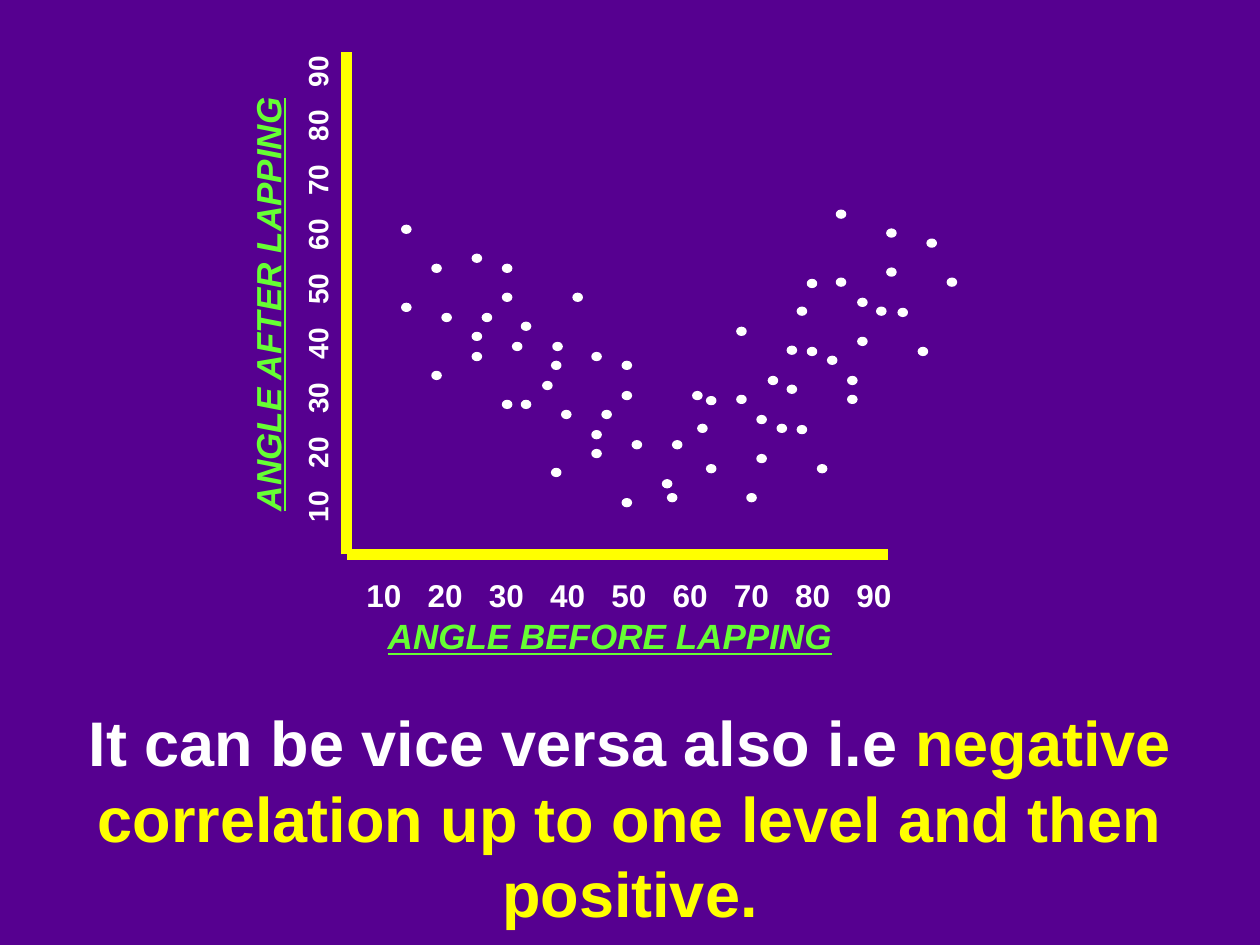
from collections import namedtuple

from pptx import Presentation
from pptx.dml.color import RGBColor
from pptx.enum.shapes import MSO_CONNECTOR, MSO_SHAPE
from pptx.enum.text import MSO_ANCHOR, PP_ALIGN
from pptx.oxml import parse_xml
from pptx.oxml.ns import nsdecls
from pptx.util import Inches, Pt

LINE = MSO_CONNECTOR.STRAIGHT
DOT = MSO_SHAPE.OVAL
TOP = MSO_ANCHOR.TOP
LEFT, CENTER = PP_ALIGN.LEFT, PP_ALIGN.CENTER
TITLE_ONLY = 5

Box = namedtuple("Box", "left top width height")


class Theme:
    background = RGBColor(0x56, 0x00, 0x90)
    white = RGBColor(0xFF, 0xFF, 0xFF)
    yellow = RGBColor(0xFF, 0xFF, 0x00)
    axis = Pt(6)
    dot_line = Pt(1)
    caption = {"name": "Arial", "size": Pt(36), "bold": True}
    label = {"name": "Arial", "size": Pt(20), "bold": True, "italic": True,
             "underline": True}
    label_color = RGBColor(0x66, 0xFF, 0x33)
    tick_x = {"name": "Arial", "size": Pt(18), "bold": True}
    tick_y = {"name": "Arial", "size": Pt(16), "bold": True}


TICKS = range(10, 100, 10)
DOT_SIZE = (0.07, 0.06)

# Each branch repeats one cluster of eight dots at four origins in the plot
FALLING = {
    "origins": [(0.44, 1.38), (1.0, 1.61), (1.39, 2.15), (1.95, 2.39)],
    "cluster": [(0, 0), (0.8, 0.31), (0, 0.62), (0.24, 0.31),
                (0.24, 1.16), (0.64, 0.7), (0.56, 1.01), (0.32, 0.7)],
}
RISING = {
    "origins": [(2.86, 2.74), (3.1, 2.19), (3.66, 1.81), (3.89, 1.26)],
    "cluster": [(0, 0), (0.32, 0.77), (0, 0.54), (-0.31, 0.77),
                (0.88, 0.54), (0.4, 0.15), (0.72, 0.23), (0.4, 0.46)],
}


def add_run(paragraph, text, formats, color):
    run = paragraph.add_run()
    run.text = text
    for name, value in formats.items():
        setattr(run.font, name, value)
    run.font.color.rgb = color


def add_text(slide, box, text, formats, color, align=LEFT, rotation=0, tab_step=None):
    shape = slide.shapes.add_textbox(*(Inches(length) for length in box))
    shape.rotation = rotation
    frame = shape.text_frame
    frame.word_wrap = True
    paragraph = frame.paragraphs[0]
    paragraph.alignment = align
    if tab_step:
        frame.margin_right = 0
        stops = "".join(f'<a:tab pos="{Inches(tab_step * number)}" algn="l"/>'
                        for number in range(1, len(TICKS)))
        paragraph._p.get_or_add_pPr().append(
            parse_xml(f'<a:tabLst {nsdecls("a")}>{stops}</a:tabLst>'))
    add_run(paragraph, text, formats, color)


def add_axes(slide, plot):
    """Draw both axis lines with their tick values and labels."""
    bottom = plot.top + plot.height
    for end_x, end_y in [(plot.left, plot.top), (plot.left + plot.width, bottom)]:
        axis = slide.shapes.add_connector(
            LINE, Inches(plot.left), Inches(bottom), Inches(end_x), Inches(end_y))
        axis.line.color.rgb = Theme.yellow
        axis.line.width = Theme.axis
        axis._element.spPr.append(parse_xml(f'<a:effectLst {nsdecls("a")}/>'))

    # Tick values, spaced by tab stops
    values = "\t".join(str(tick) for tick in TICKS)
    add_text(slide, Box(plot.left + 0.06, bottom + 0.12, 4.37, 0.4),
             values, Theme.tick_x, Theme.white, tab_step=0.486)
    add_text(slide, Box(plot.left - 2.18, plot.top + 1.7, 3.9, 0.37),
             values, Theme.tick_y, Theme.white, rotation=270, tab_step=0.432)

    # Axis labels
    add_text(slide, Box(plot.left - 0.17, bottom + 0.43, 4.52, 0.43),
             "ANGLE BEFORE LAPPING", Theme.label, Theme.label_color, CENTER)
    add_text(slide, Box(plot.left - 2.92, plot.top + 1.24, 4.58, 0.43),
             "ANGLE AFTER LAPPING", Theme.label, Theme.label_color, rotation=270)


def add_branch(slide, plot, branch):
    """Scatter the dots of one branch over the plot."""
    for origin_x, origin_y in branch["origins"]:
        for offset_x, offset_y in branch["cluster"]:
            dot = slide.shapes.add_shape(
                DOT, Inches(plot.left + origin_x + offset_x),
                Inches(plot.top + origin_y + offset_y),
                *(Inches(length) for length in DOT_SIZE))
            dot.shadow.inherit = False
            dot.fill.solid()
            dot.fill.fore_color.rgb = Theme.white
            dot.line.color.rgb = Theme.white
            dot.line.width = Theme.dot_line


def add_caption(slide, box):
    """Put the statement into the title placeholder."""
    title = slide.shapes.title
    for name, length in box._asdict().items():
        setattr(title, name, Inches(length))
    frame = title.text_frame
    frame.word_wrap = True
    frame.vertical_anchor = TOP
    frame.margin_top = Inches(0.08)
    paragraph = frame.paragraphs[0]
    paragraph.alignment = CENTER
    paragraph.line_spacing = Pt(43)
    paragraph.space_before = Pt(0)
    add_run(paragraph, "It can be vice versa also i.e ", Theme.caption, Theme.white)
    add_run(paragraph, "negative correlation up to one level and then positive.",
            Theme.caption, Theme.yellow)


def main():
    presentation = Presentation()
    presentation.slide_width = Inches(10)
    presentation.slide_height = Inches(7.5)
    slide = presentation.slides.add_slide(presentation.slide_layouts[TITLE_ONLY])
    slide.background.fill.solid()
    slide.background.fill.fore_color.rgb = Theme.background

    plot = Box(2.75, 0.41, 4.3, 3.99)
    add_caption(slide, Box(0, 5.51, 10, 1.9))
    add_axes(slide, plot)
    for branch in (FALLING, RISING):
        add_branch(slide, plot, branch)
    presentation.save("out.pptx")


if __name__ == "__main__":
    main()
